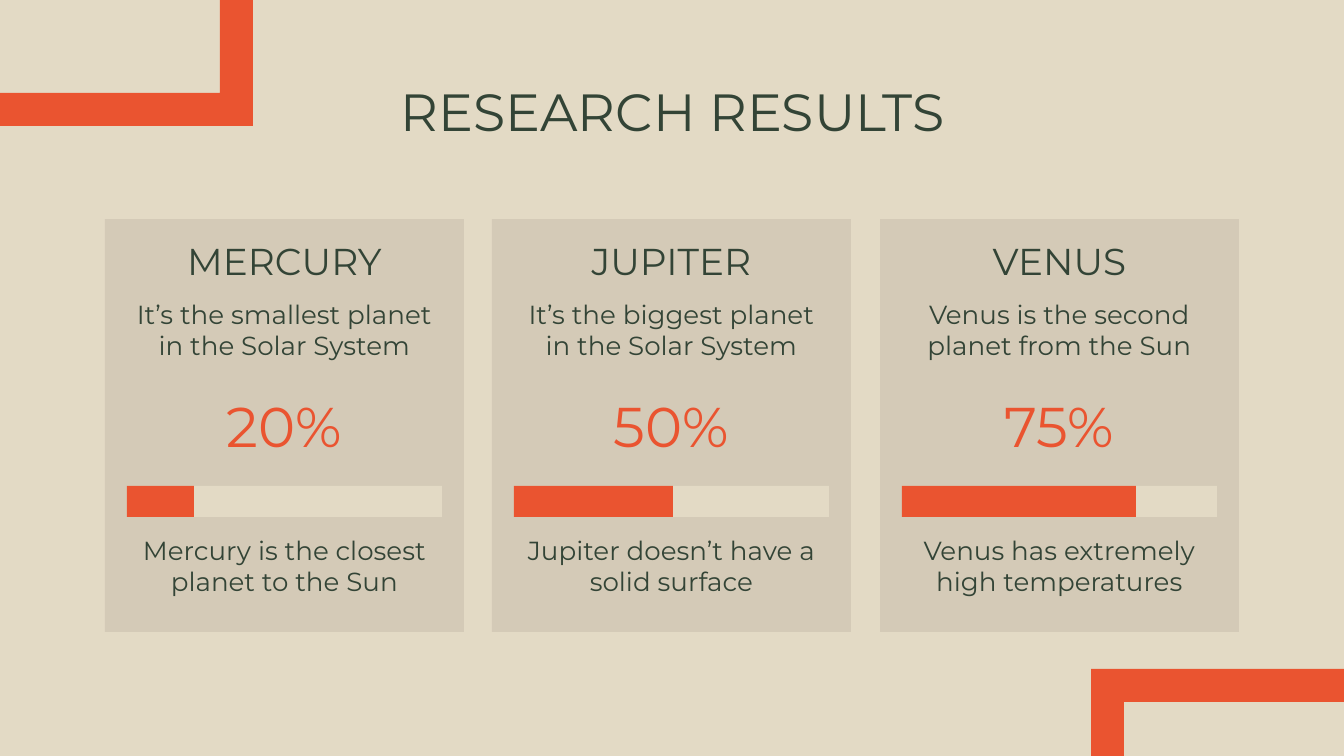
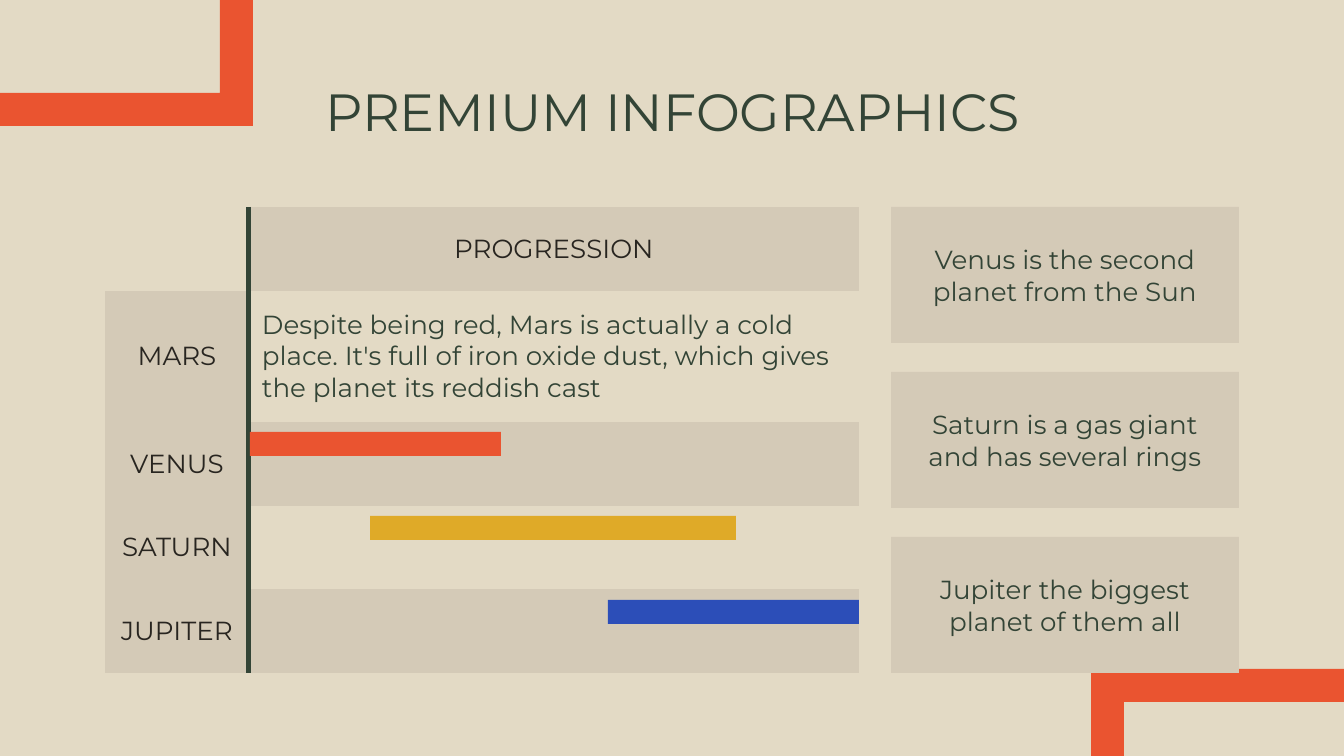
from dataclasses import dataclass

import pptx
import pptx.dml.color
import pptx.enum.shapes
import pptx.enum.text
import pptx.oxml
import pptx.oxml.ns
import pptx.util

W, H = 1344, 756
EMU_PER_PX = 9144000 / W
INSET = 13
NO_GRID_STYLE = "{2D5ABB26-0587-4C30-8999-92F81FD0307C}"
ALIGN = pptx.enum.text.PP_ALIGN
ANCHOR = pptx.enum.text.MSO_ANCHOR


@dataclass(frozen=True)
class Theme:
    font: str = "Montserrat"
    bg: str = "E3DAC5"
    panel: str = "D4CAB7"
    accent: str = "EA5430"
    gold: str = "DFAA28"
    blue: str = "2C4EB8"
    text: str = "334436"
    label: str = "282520"
    title: int = 28
    figure: int = 30
    heading: int = 20
    body: int = 14


T = Theme()


def px(n):
    return pptx.util.Emu(round(n * EMU_PER_PX))


def box(*lengths):
    return [px(n) for n in lengths]


def paint(fill, color):
    fill.solid()
    fill.fore_color.rgb = pptx.dml.color.RGBColor.from_string(color)


def write(tf, text, size=T.body, color=T.text, align=ALIGN.CENTER):
    p = tf.paragraphs[0]
    p.text = text
    p.alignment = align
    p.font.name = T.font
    p.font.size = pptx.util.Pt(size)
    p.font.color.rgb = pptx.dml.color.RGBColor.from_string(color)


def set_insets(frame):
    frame.margin_left = frame.margin_right = px(INSET)
    frame.margin_top = frame.margin_bottom = px(INSET)


def frame_text(sp, text, size, color, anchor):
    tf = sp.text_frame
    tf.word_wrap = True
    tf.vertical_anchor = anchor
    set_insets(tf)
    write(tf, text, size, color)


def add_text(s, x, y, w, h, text, size=T.body, color=T.text, anchor=ANCHOR.TOP):
    sp = s.shapes.add_textbox(*box(x, y, w, h))
    frame_text(sp, text, size, color, anchor)


def finish(sp, color):
    paint(sp.fill, color)
    sp.line.fill.background()
    sp.shadow.inherit = False


def add_rect(s, x, y, w, h, color, text=None):
    kind = pptx.enum.shapes.MSO_SHAPE.RECTANGLE
    sp = s.shapes.add_shape(kind, *box(x, y, w, h))
    finish(sp, color)
    if text:
        frame_text(sp, text, T.body, T.text, ANCHOR.MIDDLE)


def add_corner(s, edge_x, edge_y, tip_x, tip_y, band):
    in_x, in_y = tip_x - band, tip_y - band
    points = [(edge_x, tip_y), (tip_x, tip_y), (tip_x, edge_y),
              (in_x, edge_y), (in_x, in_y), (edge_x, in_y)]
    fb = s.shapes.build_freeform(*points[0], scale=EMU_PER_PX)
    fb.add_line_segments(points[1:], close=True)
    finish(fb.convert_to_shape(), T.accent)


def add_slide(prs, title):
    s = prs.slides.add_slide(prs.slide_layouts[6])
    paint(s.background.fill, T.bg)
    add_corner(s, W, H, 1091, 669, -33)
    add_corner(s, 0, 0, 253, 126, 33)
    add_text(s, 106, 66, 1133, 85, title, T.title)
    return s


def add_planet_card(s, x, name, about, percent, done, note):
    add_rect(s, x, 219, 359, 413, T.panel)
    add_text(s, x + 16, 237, 327, 59, name, T.heading, anchor=ANCHOR.BOTTOM)
    add_text(s, x + 16, 285, 327, 83, about)
    add_text(s, x + 16, 383, 327, 85, percent, T.figure, T.accent, ANCHOR.MIDDLE)
    add_rect(s, x + 22, 486, 315, 31, T.bg)
    add_rect(s, x + 22, 486, done, 31, T.accent)
    add_text(s, x + 16, 521, 327, 86, note)


def set_border(cell, side):
    ln = pptx.oxml.parse_xml(
        f'<a:{side} {pptx.oxml.ns.nsdecls("a")} w="{pptx.util.Pt(3)}">'
        f'<a:solidFill><a:srgbClr val="{T.text}"/></a:solidFill></a:{side}>')
    cell._tc.get_or_add_tcPr().insert(0, ln)


def set_cell(cell, text, fill, color=T.label, align=ALIGN.CENTER):
    cell.vertical_anchor = ANCHOR.MIDDLE
    set_insets(cell)
    write(cell.text_frame, text, T.body, color, align)
    if fill:
        paint(cell.fill, fill)
    else:
        cell.fill.background()


def add_progress_table(s, x, y, widths, rows):
    heights = [row[0] for row in rows]
    frame = s.shapes.add_table(len(rows), len(widths),
                               *box(x, y, sum(widths), sum(heights)))
    table = frame.table
    table.first_row = table.horz_banding = False
    style = table._tbl.tblPr.find(pptx.oxml.ns.qn("a:tableStyleId"))
    style.text = NO_GRID_STYLE
    for col, width in zip(table.columns, widths):
        col.width = px(width)
    for i, (height, name, text, color, align) in enumerate(rows):
        table.rows[i].height = px(height)
        label, track = table.cell(i, 0), table.cell(i, 1)
        track.merge(table.cell(i, len(widths) - 1))
        set_cell(label, name, T.panel if name else None)
        set_cell(track, text, T.bg if i % 2 else T.panel, color, align)
        set_border(label, "lnR")
        set_border(track, "lnL")


def build_results(prs):
    s = add_slide(prs, "RESEARCH RESULTS")
    cards = [
        ("MERCURY", "It’s the smallest planet in the Solar System",
         "20%", 67, "Mercury is the closest planet to the Sun"),
        ("JUPITER", "It’s the biggest planet in the Solar System",
         "50%", 159, "Jupiter doesn’t have a solid surface"),
        ("VENUS", "Venus is the second planet from the Sun",
         "75%", 234, "Venus has extremely high temperatures"),
    ]
    for i, card in enumerate(cards):
        add_planet_card(s, 105 + i * 775 // 2, *card)


def build_infographics(prs):
    s = add_slide(prs, "PREMIUM INFOGRAPHICS")
    mars = ("Despite being red, Mars is actually a cold place. It's full of "
            "iron oxide dust, which gives the planet its reddish cast")
    add_progress_table(s, 105, 207, [144] + [122] * 5, [
        (84, "", "PROGRESSION", T.label, ALIGN.CENTER),
        (131, "MARS", mars, T.text, ALIGN.LEFT),
        (84, "VENUS", "", T.label, ALIGN.CENTER),
        (83, "SATURN", "", T.label, ALIGN.CENTER),
        (84, "JUPITER", "", T.label, ALIGN.CENTER),
    ])
    facts = ["Venus is the second planet from the Sun",
             "Saturn is a gas giant and has several rings",
             "Jupiter the biggest planet of them all"]
    for i, fact in enumerate(facts):
        add_rect(s, 891, 207 + i * 165, 348, 136, T.panel, fact)
    bars = [(250, 251, T.accent), (370, 366, T.gold), (608, 251, T.blue)]
    for i, (x, w, color) in enumerate(bars):
        add_rect(s, x, 432 + i * 84, w, 24, color)


def main():
    prs = pptx.Presentation()
    prs.slide_width, prs.slide_height = px(W), px(H)
    build_results(prs)
    build_infographics(prs)
    prs.save("out.pptx")


if __name__ == "__main__":
    main()
